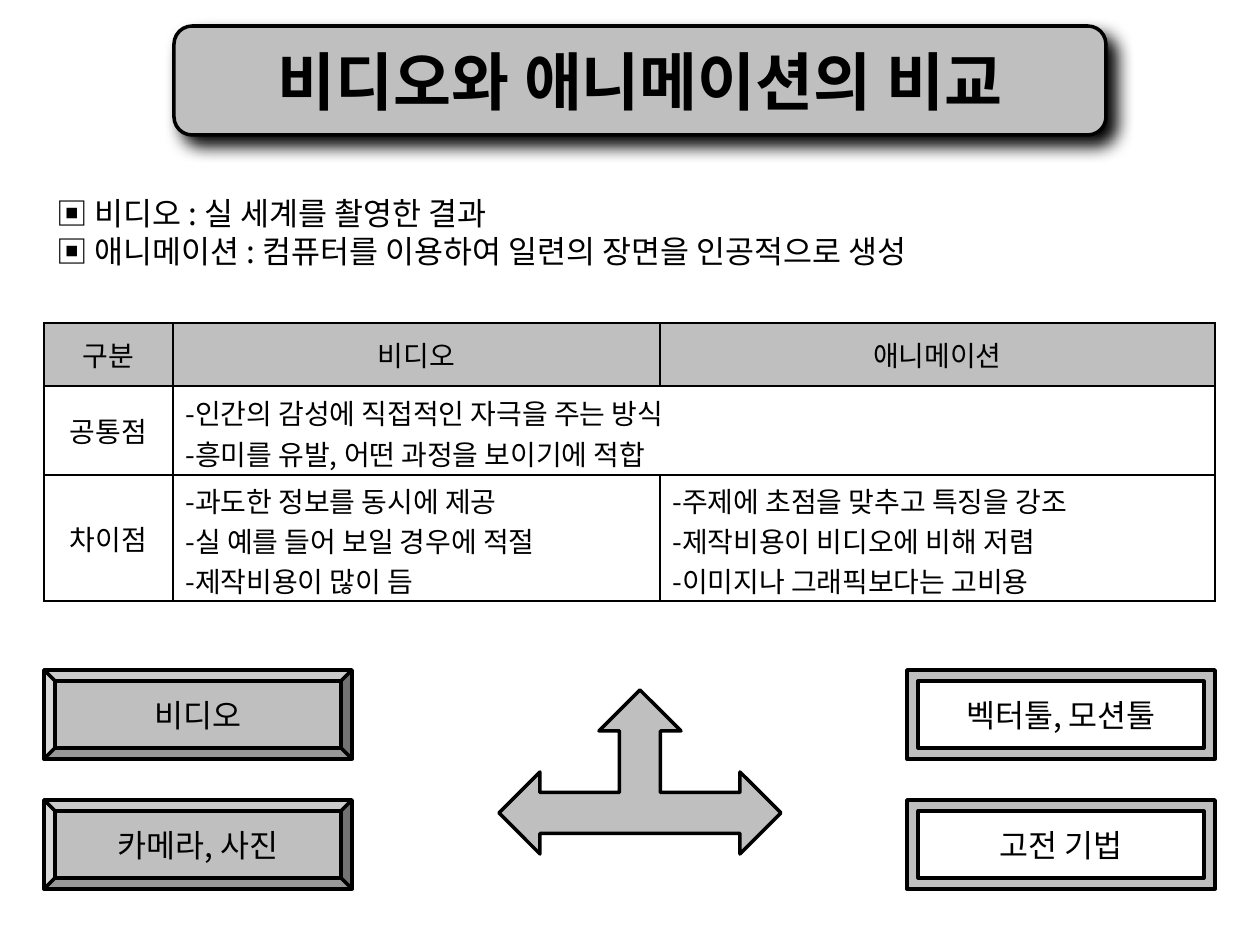
from pptx import Presentation
from pptx.dml.color import RGBColor
from pptx.enum.shapes import MSO_SHAPE as Shape
from pptx.enum.text import MSO_ANCHOR as Anchor, MSO_AUTO_SIZE as AutoSize, PP_ALIGN as Align
from pptx.oxml import parse_xml
from pptx.oxml.ns import nsdecls, qn
from pptx.util import Emu, Pt
from lxml.etree import SubElement

BLACK = RGBColor(0x00, 0x00, 0x00)
GRAY = RGBColor(0xBF, 0xBF, 0xBF)
PX_PER_INCH = 126

MARGIN = 44
CONTENT_WIDTH = 1171
LABEL_WIDTH, LABEL_HEIGHT = 308, 89
LABEL_TOPS = (670, 800)
COLUMN_WIDTHS = (129, 487, 555)
ROW_HEIGHTS = (63, 89, 126)

DEFINITIONS = [
    "▣ 비디오 : 실 세계를 촬영한 결과",
    "▣ 애니메이션 : 컴퓨터를 이용하여 일련의 장면을 인공적으로 생성",
]
COMPARISON = [
    ["구분", "비디오", "애니메이션"],
    ["공통점", "-인간의 감성에 직접적인 자극을 주는 방식\n-흥미를 유발, 어떤 과정을 보이기에 적합", ""],
    ["차이점",
     "-과도한 정보를 동시에 제공\n-실 예를 들어 보일 경우에 적절\n-제작비용이 많이 듬",
     "-주제에 초점을 맞추고 특징을 강조\n-제작비용이 비디오에 비해 저렴\n-이미지나 그래픽보다는 고비용"],
]
VIDEO_LABELS = ("비디오", "카메라, 사진")
ANIMATION_LABELS = ("벡터툴, 모션툴", "고전 기법")


def px(length):
    return Emu(round(length * 914400 / PX_PER_INCH))


class SlideBuilder:
    """Holds the shared style and the page being filled."""

    font = "Noto Sans CJK KR"
    line_width = Pt(2)

    def __init__(self, page):
        self.page = page

    def set_text(self, frame, text, size, align=Align.LEFT, bold=False, spacing=None):
        frame.text = text
        frame.word_wrap = True
        for para in frame.paragraphs:
            para.alignment = align
            if spacing:
                para.line_spacing = Pt(spacing)
            for span in para.runs:
                span.font.size = Pt(size)
                span.font.bold = bold
                span.font.color.rgb = BLACK
                span.font.name = self.font
                SubElement(span.font._element, qn("a:ea"), typeface=self.font)

    def shape(self, kind, left, top, width, height, text="", size=18, bold=False):
        shape = self.page.shapes.add_shape(kind, px(left), px(top), px(width), px(height))
        shape.shadow.inherit = False
        shape.fill.solid()
        shape.fill.fore_color.rgb = GRAY
        shape.line.color.rgb = BLACK
        shape.line.width = self.line_width
        if text:
            self.set_text(shape.text_frame, text, size, Align.CENTER, bold)
            shape.text_frame.vertical_anchor = Anchor.MIDDLE
        return shape

    def drop_shadow(self, shape, blur, distance, degrees):
        effects = shape._element.spPr.find(qn("a:effectLst"))
        shadow = SubElement(effects, qn("a:outerShdw"), blurRad=str(Pt(blur)),
                            dist=str(Pt(distance)), dir=str(degrees * 60000),
                            algn="tl", rotWithShape="0")
        SubElement(shadow, qn("a:srgbClr"), val=str(BLACK))

    def text(self, left, top, width, height, lines):
        box = self.page.shapes.add_textbox(px(left), px(top), px(width), px(height))
        frame = box.text_frame
        self.set_text(frame, "\n".join(lines), 18, spacing=21.6)
        frame.margin_top, frame.margin_bottom = px(9), px(4)
        frame.auto_size = AutoSize.SHAPE_TO_FIT_TEXT

    def cell_borders(self, cell):
        properties = cell._tc.get_or_add_tcPr()
        for side in ("lnL", "lnR", "lnT", "lnB"):
            properties.append(parse_xml(
                f'<a:{side} {nsdecls("a")} w="{Pt(1)}"><a:solidFill>'
                f'<a:srgbClr val="{BLACK}"/></a:solidFill></a:{side}>'))

    def table(self, left, top, widths, heights, rows):
        table = self.page.shapes.add_table(
            len(heights), len(widths), px(left), px(top),
            px(sum(widths)), px(sum(heights))).table
        table.first_row = table.horz_banding = False
        for column, width in zip(table.columns, widths):
            column.width = px(width)
        for row, height in zip(table.rows, heights):
            row.height = px(height)
        for r, texts in enumerate(rows):
            for c, text in enumerate(texts):
                cell = table.cell(r, c)
                is_list = "\n" in text
                cell.vertical_anchor = Anchor.MIDDLE
                if is_list:
                    cell.margin_top, cell.margin_bottom = px(5), 0
                self.set_text(cell.text_frame, text, 16,
                              Align.LEFT if is_list else Align.CENTER,
                              spacing=23 if is_list else None)
                self.cell_borders(cell)
                if r == 0:
                    cell.fill.solid()
                    cell.fill.fore_color.rgb = GRAY
                else:
                    cell.fill.background()
        return table


def main():
    deck = Presentation()
    deck.slide_width, deck.slide_height = px(1260), px(945)
    builder = SlideBuilder(deck.slides.add_slide(deck.slide_layouts[6]))

    title = builder.shape(Shape.ROUNDED_RECTANGLE, 174, 26, 932, 109,
                          "비디오와 애니메이션의 비교", 36, True)
    builder.drop_shadow(title, blur=10, distance=7, degrees=45)
    builder.text(MARGIN, 185, CONTENT_WIDTH, 89, DEFINITIONS)

    table = builder.table(MARGIN, 323, COLUMN_WIDTHS, ROW_HEIGHTS, COMPARISON)
    table.cell(1, 1).merge(table.cell(1, 2))

    right_column = MARGIN + CONTENT_WIDTH - LABEL_WIDTH
    for kind, left, labels in ((Shape.BEVEL, MARGIN, VIDEO_LABELS),
                               (Shape.FRAME, right_column, ANIMATION_LABELS)):
        for top, label in zip(LABEL_TOPS, labels):
            builder.shape(kind, left, top, LABEL_WIDTH, LABEL_HEIGHT, label)
    builder.shape(Shape.LEFT_RIGHT_UP_ARROW, 499, 690, 282, 164)

    deck.save("out.pptx")


if __name__ == "__main__":
    main()
